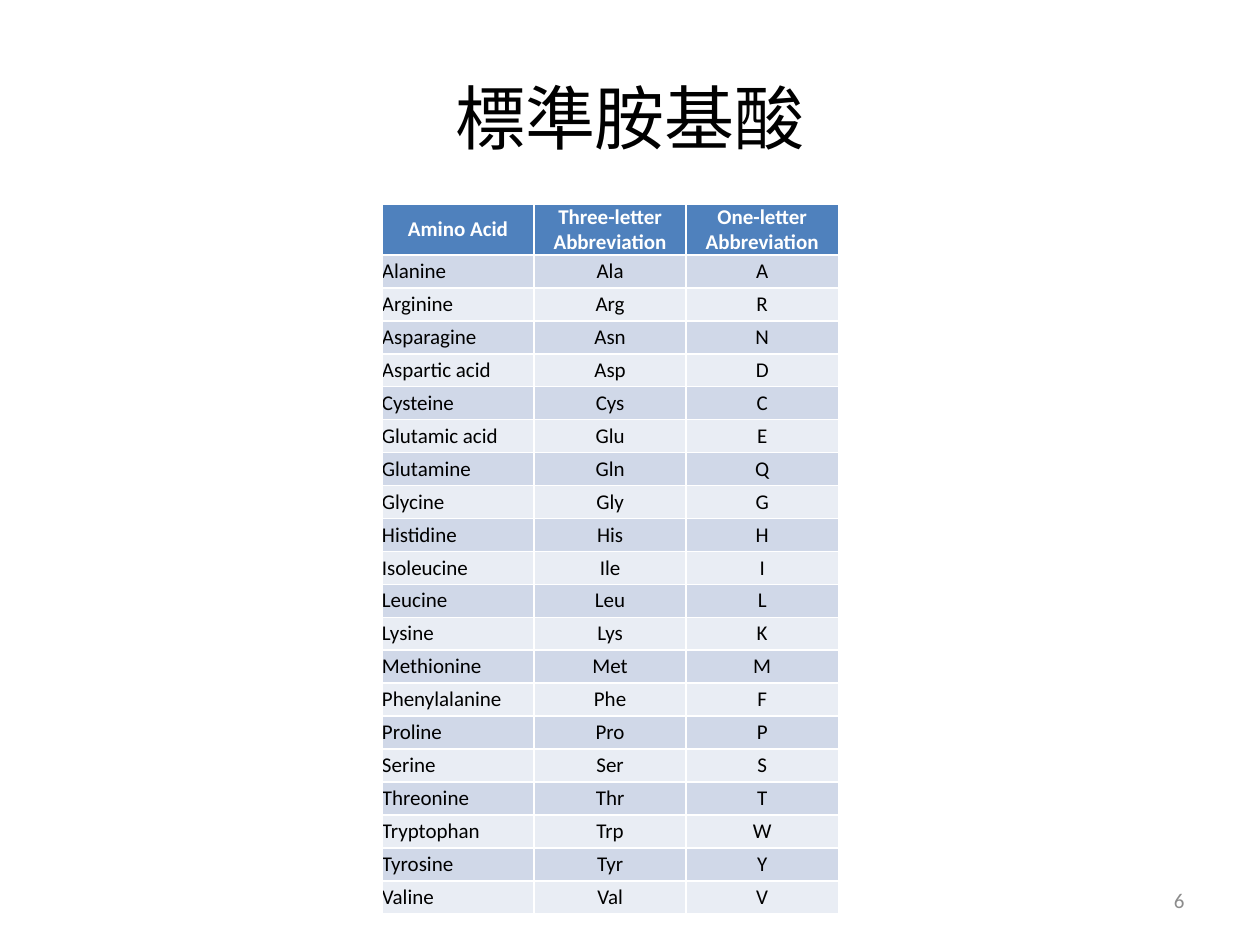
from lxml.etree import SubElement
from pptx import Presentation
from pptx.dml.color import RGBColor
from pptx.enum.text import MSO_ANCHOR as Anchor, PP_ALIGN as Align
from pptx.oxml.ns import qn
from pptx.util import Cm, Pt

TITLE = "標準胺基酸"
PAGE_NUMBER = "6"
HEADERS = ("Amino Acid", "Three-letter Abbreviation", "One-letter Abbreviation")
AMINO_ACIDS = [
    ("Alanine", "Ala", "A"),
    ("Arginine", "Arg", "R"),
    ("Asparagine", "Asn", "N"),
    ("Aspartic acid", "Asp", "D"),
    ("Cysteine", "Cys", "C"),
    ("Glutamic acid", "Glu", "E"),
    ("Glutamine", "Gln", "Q"),
    ("Glycine", "Gly", "G"),
    ("Histidine", "His", "H"),
    ("Isoleucine", "Ile", "I"),
    ("Leucine", "Leu", "L"),
    ("Lysine", "Lys", "K"),
    ("Methionine", "Met", "M"),
    ("Phenylalanine", "Phe", "F"),
    ("Proline", "Pro", "P"),
    ("Serine", "Ser", "S"),
    ("Threonine", "Thr", "T"),
    ("Tryptophan", "Trp", "W"),
    ("Tyrosine", "Tyr", "Y"),
    ("Valine", "Val", "V"),
]

BLACK = RGBColor(0x00, 0x00, 0x00)
WHITE = RGBColor(0xFF, 0xFF, 0xFF)
GRAY = RGBColor(0x8C, 0x8C, 0x8C)
HEADER_BLUE = RGBColor(0x4F, 0x81, 0xBD)
BANDS = (RGBColor(0xD0, 0xD8, 0xE8), RGBColor(0xE9, 0xED, 0xF4))

LATIN_FONT = "Calibri"
CJK_FONT = "Noto Sans CJK SC"
TABLE_WIDTH, TABLE_HEIGHT, HEADER_HEIGHT = 9.2, 14.3, 1.02


def style_paragraph(paragraph, size, color, align, font_name=LATIN_FONT, bold=False):
    paragraph.alignment = align
    font = paragraph.font
    font.name, font.size, font.bold = font_name, Pt(size), bold
    font.color.rgb = color


def add_text(slide, text, left, top, width, height, *style):
    box = slide.shapes.add_textbox(Cm(left), Cm(top), Cm(width), Cm(height))
    frame = box.text_frame
    frame.word_wrap = True
    frame.vertical_anchor = Anchor.MIDDLE
    frame.text = text
    paragraph = frame.paragraphs[0]
    style_paragraph(paragraph, *style)
    return paragraph


def fill_cell(cell, text, fill, color, align, bold):
    cell.margin_left = cell.margin_top = cell.margin_right = cell.margin_bottom = 0
    cell.vertical_anchor = Anchor.MIDDLE
    cell.fill.solid()
    cell.fill.fore_color.rgb = fill
    cell.text = text
    style_paragraph(cell.text_frame.paragraphs[0], 12, color, align, bold=bold)


def add_amino_acid_table(slide):
    rows = [HEADERS, *AMINO_ACIDS]
    table = slide.shapes.add_table(
        len(rows), len(HEADERS), Cm(7.7), Cm(4.12), Cm(TABLE_WIDTH), Cm(TABLE_HEIGHT)
    ).table
    for column in table.columns:
        column.width = Cm(TABLE_WIDTH / len(HEADERS))
    body_height = (TABLE_HEIGHT - HEADER_HEIGHT) / len(AMINO_ACIDS)
    for row_index, row in enumerate(rows):
        is_header = row_index == 0
        table.rows[row_index].height = Cm(HEADER_HEIGHT if is_header else body_height)
        fill = HEADER_BLUE if is_header else BANDS[(row_index - 1) % 2]
        color = WHITE if is_header else BLACK
        for column_index, text in enumerate(row):
            align = Align.CENTER if is_header or column_index else Align.LEFT
            fill_cell(table.cell(row_index, column_index), text, fill, color, align, is_header)


def main():
    presentation = Presentation()
    presentation.slide_width, presentation.slide_height = Cm(25.4), Cm(19.05)
    slide = presentation.slides.add_slide(presentation.slide_layouts[6])
    title = add_text(slide, TITLE, 1.27, 0.76, 22.86, 3.18, 40, BLACK, Align.CENTER, CJK_FONT)
    properties = title._p.get_or_add_pPr().find(qn("a:defRPr"))
    SubElement(properties, qn("a:ea"), typeface=CJK_FONT)
    add_amino_acid_table(slide)
    add_text(slide, PAGE_NUMBER, 18.2, 17.65, 5.93, 1.01, 12, GRAY, Align.RIGHT)
    presentation.save("out.pptx")


if __name__ == "__main__":
    main()
